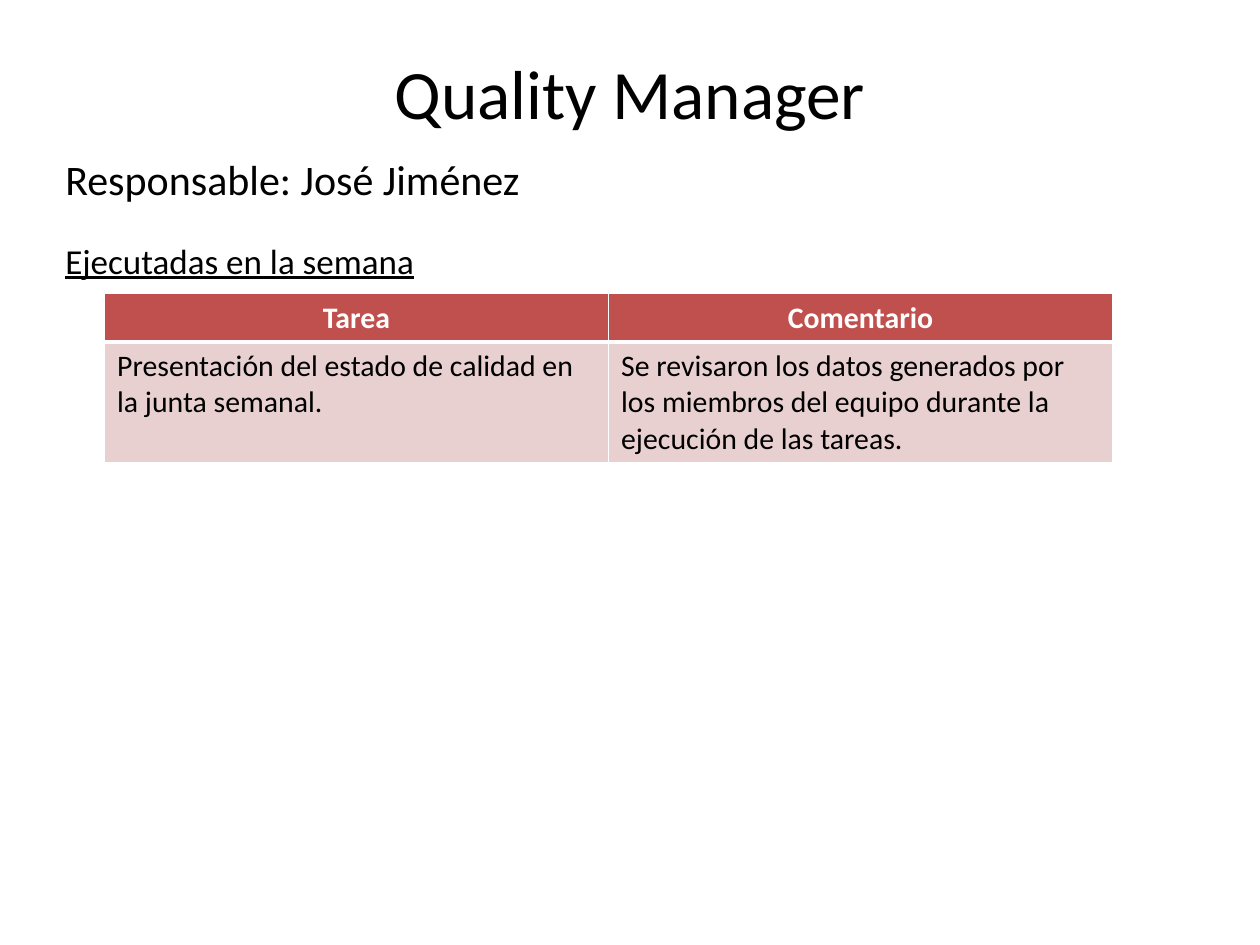
"""Build the Quality Manager weekly status slide."""
from lxml.etree import SubElement
from pptx import Presentation
from pptx.dml.color import RGBColor
from pptx.enum.text import MSO_ANCHOR, PP_ALIGN
from pptx.oxml.ns import qn
from pptx.util import Inches, Pt

FONT = "Calibri"
COLORS = {"text": "000000", "white": "FFFFFF", "header": "C0504D", "body": "E8D0D0"}
TITLE = "Quality Manager"
INTRO = [
    ("Responsable: José Jiménez", 24, 0, False),
    ("Ejecutadas en la semana", 20, 20, True),
]
ROWS = [
    ("Tarea", "Comentario"),
    ("Presentación del estado de calidad en la junta semanal.",
     "Se revisaron los datos generados por los miembros del equipo "
     "durante la ejecución de las tareas."),
]
ROW_HEIGHTS = [0.37, 0.96]


def style(p, size, color="text", bold=False, align=PP_ALIGN.LEFT):
    p.alignment = align
    p.font.name = FONT
    p.font.size = Pt(size)
    p.font.bold = bold
    p.font.color.rgb = RGBColor.from_string(COLORS[color])


def set_borders(cell, **widths):
    tc_pr = cell._tc.get_or_add_tcPr()
    for side in "LRTB":
        ln = SubElement(tc_pr, qn(f"a:ln{side}"), w=str(Pt(widths.get(side, 1))))
        fill = SubElement(ln, qn("a:solidFill"))
        SubElement(fill, qn("a:srgbClr"), val=COLORS["white"])


prs = Presentation()
prs.slide_width, prs.slide_height = Inches(10), Inches(7.5)
s = prs.slides.add_slide(prs.slide_layouts[5])

title = s.shapes.title
title.left, title.top, title.width, title.height = map(Inches, (0.5, 0.38, 9, 0.7))
title.text_frame.text = TITLE
title.text_frame.vertical_anchor = MSO_ANCHOR.MIDDLE
style(title.text_frame.paragraphs[0], 39.6, align=PP_ALIGN.CENTER)

tf = s.shapes.add_textbox(*map(Inches, (0.42, 1.17, 9.33, 1.25))).text_frame
tf.word_wrap = True
for i, (text, size, before, underline) in enumerate(INTRO):
    p = tf.add_paragraph() if i else tf.paragraphs[0]
    p.text = text
    p.space_before = Pt(before)
    style(p, size)
    p.font.underline = underline

table = s.shapes.add_table(2, 2, *map(Inches, (0.83, 2.33, 8, sum(ROW_HEIGHTS)))).table
for i, (texts, height) in enumerate(zip(ROWS, ROW_HEIGHTS)):
    header = i == 0
    table.rows[i].height = Inches(height)
    for cell, text in zip(table.rows[i].cells, texts):
        cell.text = text
        set_borders(cell, **({"B": 3} if header else {"T": 3}))
        cell.fill.solid()
        cell.fill.fore_color.rgb = RGBColor.from_string(COLORS["header" if header else "body"])
        style(cell.text_frame.paragraphs[0], 17, "white" if header else "text", header,
              PP_ALIGN.CENTER if header else PP_ALIGN.LEFT)

prs.save("out.pptx")
